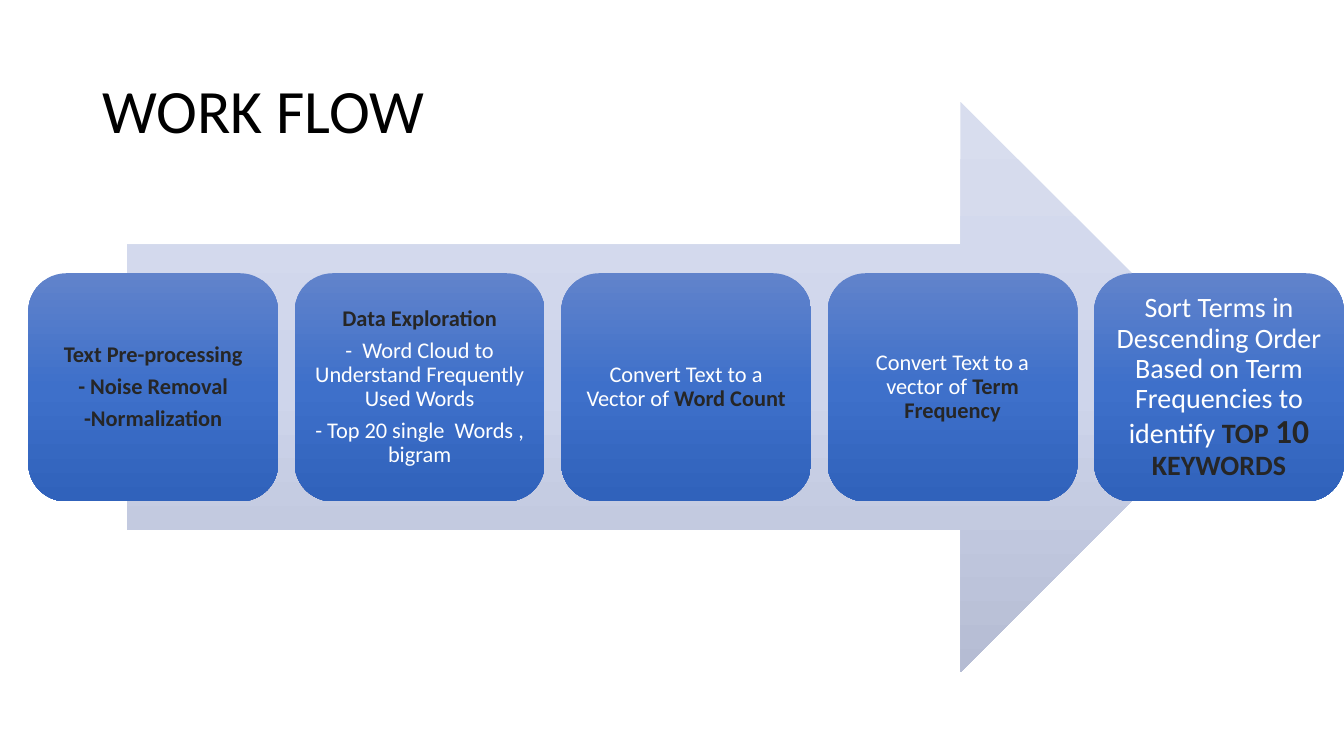
from copy import deepcopy

from pptx import Presentation
from pptx.dml.color import RGBColor
from pptx.enum.shapes import MSO_SHAPE
from pptx.enum.text import MSO_ANCHOR, PP_ALIGN
from pptx.util import Pt

ARROW = MSO_SHAPE.RIGHT_ARROW
ROUNDED = MSO_SHAPE.ROUNDED_RECTANGLE
MIDDLE = MSO_ANCHOR.MIDDLE
CENTER, LEFT = PP_ALIGN.CENTER, PP_ALIGN.LEFT

FONT = "Calibri"
COLORS = {"title": "000000", "strong": "262626", "plain": "FFFFFF"}
ARROW_GRADIENT = ("D8DDEE", "CED5EB", "B5BCD3")
STEP_GRADIENT = ("6183CB", "3E70CA", "3062BB")

TITLE = [[("WORK FLOW", "title", 44)]]
STEPS = [
    [
        [("Text Pre-processing", "strong", 16)],
        [("- Noise Removal", "strong", 16)],
        [("-Normalization", "strong", 16)],
    ],
    [
        [("Data Exploration", "strong", 16)],
        [("-  Word Cloud to Understand Frequently Used Words", "plain", 16)],
        [("- Top 20 single  Words , bigram", "plain", 16)],
    ],
    [[("Convert Text to a Vector of ", "plain", 16), ("Word Count", "strong", 16)]],
    [[("Convert Text to a vector of ", "plain", 16), ("Term Frequency", "strong", 16)]],
    [[
        ("Sort Terms in Descending Order Based on Term Frequencies to identify ", "plain", 20),
        ("TOP ", "strong", 20),
        ("10", "strong", 24),
        (" KEYWORDS", "strong", 20),
    ]],
]

SLIDE_WIDTH, SLIDE_HEIGHT = 960, 540
TITLE_BOX = (66, 28.75, 828, 104.4)
ARROW_BOX = (90.7, 72.7, 799.2, 407.6)
STEP_LEFT, STEP_TOP, STEP_WIDTH, STEP_HEIGHT = 20.2, 195.2, 178.5, 163
STEP_PITCH = (SLIDE_WIDTH - STEP_LEFT - STEP_WIDTH) / (len(STEPS) - 1)


def add_gradient_shape(page, kind, bounds, colors):
    shape = page.shapes.add_shape(kind, *map(Pt, bounds))
    shape.shadow.inherit = False
    shape.line.fill.background()
    shape.fill.gradient()
    shape.fill.gradient_angle = 270
    stop_list = shape.element.spPr.gradFill.gsLst
    stop_list.append(deepcopy(stop_list[-1]))
    for index, (stop, color) in enumerate(zip(shape.fill.gradient_stops, colors)):
        stop.position = index / (len(colors) - 1)
        stop.color.rgb = RGBColor.from_string(color)
    return shape


def write_text(box, paragraphs, align, inset, space_after):
    frame = box.text_frame
    frame.word_wrap = True
    frame.vertical_anchor = MIDDLE
    frame.margin_left = frame.margin_right = Pt(inset)
    frame.margin_top = frame.margin_bottom = Pt(inset)
    for index, spans in enumerate(paragraphs):
        para = frame.add_paragraph() if index else frame.paragraphs[0]
        para.alignment = align
        para.line_spacing = 0.9
        para.space_after = Pt(space_after)
        for text, role, size in spans:
            span = para.add_run()
            span.text = text
            span.font.name = FONT
            span.font.size = Pt(size)
            span.font.bold = role == "strong"
            span.font.color.rgb = RGBColor.from_string(COLORS[role])


def main():
    deck = Presentation()
    deck.slide_width, deck.slide_height = Pt(SLIDE_WIDTH), Pt(SLIDE_HEIGHT)
    page = deck.slides.add_slide(deck.slide_layouts[6])

    title = page.shapes.add_textbox(*map(Pt, TITLE_BOX))
    write_text(title, TITLE, LEFT, 7.2, 0)

    add_gradient_shape(page, ARROW, ARROW_BOX, ARROW_GRADIENT)
    for index, paragraphs in enumerate(STEPS):
        left = STEP_LEFT + index * STEP_PITCH
        bounds = (left, STEP_TOP, STEP_WIDTH, STEP_HEIGHT)
        step = add_gradient_shape(page, ROUNDED, bounds, STEP_GRADIENT)
        size = paragraphs[0][0][2]
        write_text(step, paragraphs, CENTER, size * 0.3, size * 0.35)

    deck.save("out.pptx")


if __name__ == "__main__":
    main()
